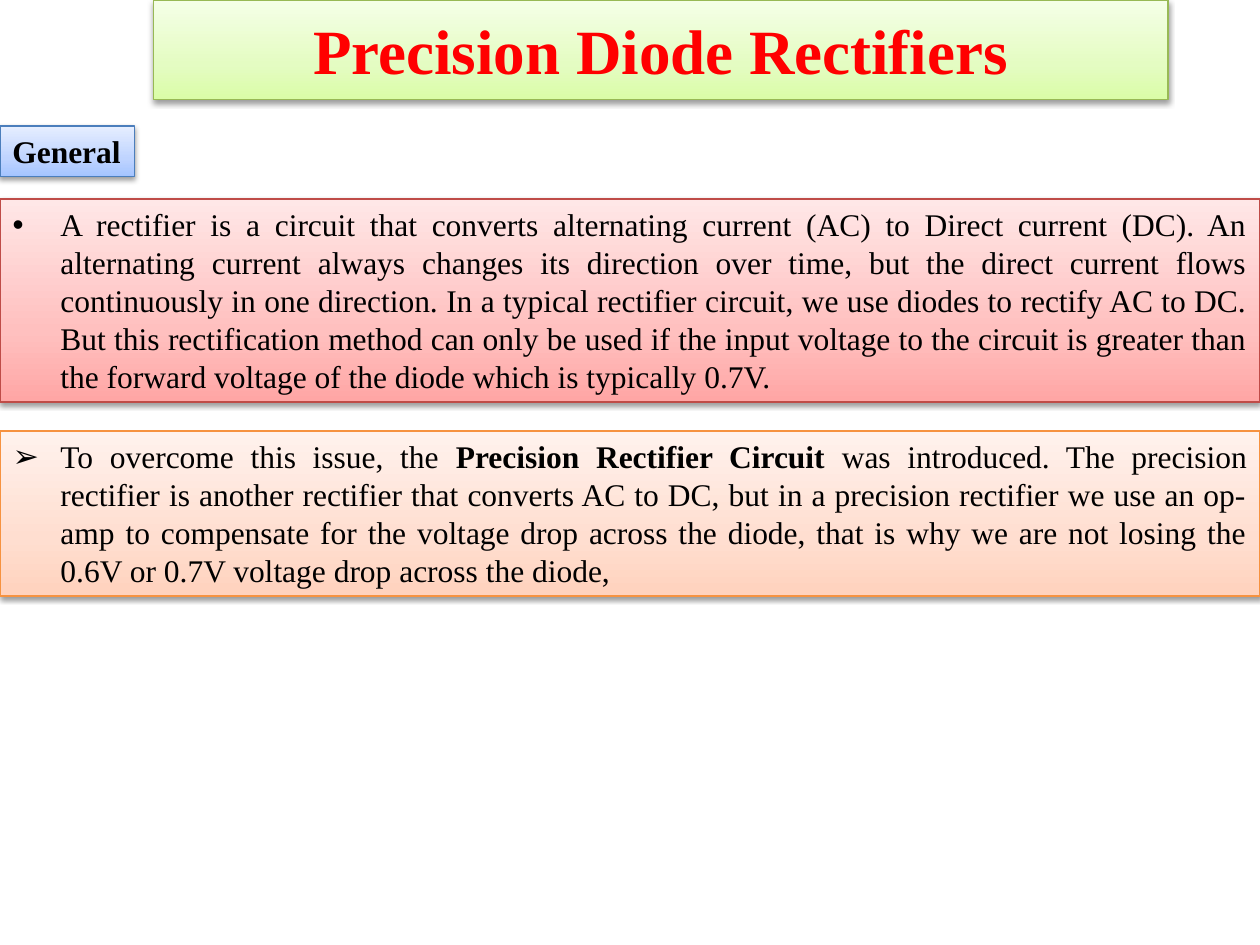
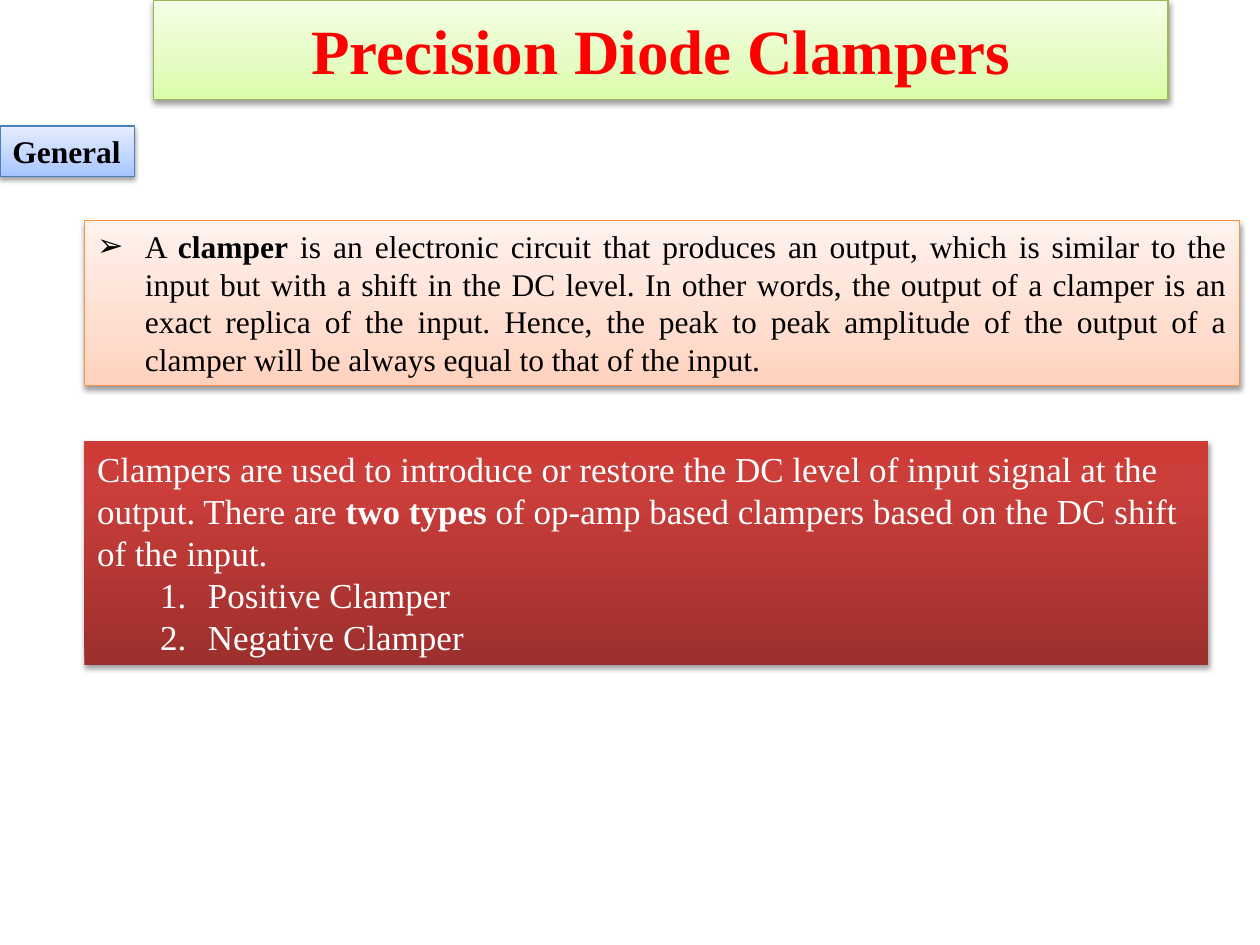
"""Build two slides on precision diode rectifiers and clampers."""
from lxml import etree
from pptx import Presentation
from pptx import util as u
from pptx.dml.color import RGBColor
from pptx.enum import shapes, text
from pptx.oxml import parse_xml
from pptx.oxml.ns import nsdecls, qn

FONT = "Times New Roman"
CELL = 1 / 12
INK = {"title": "FF0000", "dark": "000000", "light": "FFFFFF"}
STYLES = {
    "green": {"stops": [(0, "DAFDA7"), (35, "E4FCC2"), (100, "F5FFE7")], "line": "98B955"},
    "blue": {"stops": [(0, "A4C4FF"), (35, "BFD4FF"), (100, "E6EEFF")], "line": "4B7EBC"},
    "pink": {"stops": [(0, "FFA6A5"), (35, "FFC0BF"), (100, "FFE7E7")], "line": "BF4C48"},
    "orange": {"stops": [(0, "FFD2BD"), (35, "FFDED0"), (100, "FFF2ED")], "line": "F69240"},
    "red": {"stops": [(0, "9C2F2D"), (80, "CB3E3A"), (100, "CE3B37")], "line": None},
}
TITLE_CELLS = (14.64, 0, 96.6, 9.48)
LABEL_CELLS = (0, 12, 12.84)

SLIDES = [
    {"title": "Precision Diode Rectifiers", "label": "General", "panels": [
        {"style": "pink", "cells": (0, 19, 120), "lines": 5, "size": 18, "ink": "dark", "align": "JUSTIFY",
         "paragraphs": [("•", "A rectifier is a circuit that converts alternating current (AC) to Direct "
                         "current (DC). An alternating current always changes its direction over time, but "
                         "the direct current flows continuously in one direction. In a typical rectifier "
                         "circuit, we use diodes to rectify AC to DC. But this rectification method can only "
                         "be used if the input voltage to the circuit is greater than the forward voltage of "
                         "the diode which is typically 0.7V. ")]},
        {"style": "orange", "cells": (0, 41, 120), "lines": 4, "size": 18, "ink": "dark", "align": "JUSTIFY",
         "paragraphs": [("➢", "To overcome this issue, the **Precision Rectifier Circuit** was introduced. "
                         "The precision rectifier is another rectifier that converts AC to DC, but in a "
                         "precision rectifier we use an op-amp to compensate for the voltage drop across the "
                         "diode, that is why we are not losing the 0.6V or 0.7V voltage drop across the "
                         "diode,")]},
    ]},
    {"title": "Precision Diode Clampers", "label": "General", "panels": [
        {"style": "orange", "cells": (8, 21, 110), "lines": 4, "size": 18, "ink": "dark", "align": "JUSTIFY",
         "paragraphs": [("➢", "A **clamper** is an electronic circuit that produces an output, which is "
                         "similar to the input but with a shift in the DC level. In other words, the output "
                         "of a clamper is an exact replica of the input. Hence, the peak to peak amplitude "
                         "of the output of a clamper will be always equal to that of the input.")]},
        {"style": "red", "cells": (8, 42, 107), "lines": 5, "size": 20, "ink": "light", "align": "LEFT",
         "paragraphs": [("", "Clampers are used to introduce or restore the DC level of input signal at the "
                         "output. There are **two types** of op-amp based clampers based on the DC shift of "
                         "the input."),
                        ("1.", "Positive Clamper"),
                        ("1.", "Negative Clamper")]},
    ]},
]


def text_height(lines, size):
    """Return the height in cells of a box that holds the given lines."""
    return (lines * size * 1.21 / 72 + 0.1) / CELL


def place(box, cells):
    """Move a box to its left, top, width and height in grid cells."""
    box.left, box.top, box.width, box.height = [u.Inches(round(cell * CELL, 2)) for cell in cells]


def paint(box, style):
    """Give a box its gradient, outline and soft shadow."""
    box.fill.gradient()
    box.fill.gradient_angle = 90
    properties = box._element.spPr
    stop_list = properties.find(qn("a:gradFill")).find(qn("a:gsLst"))
    for stop in list(stop_list):
        stop_list.remove(stop)
    for position, color in style["stops"]:
        stop = etree.SubElement(stop_list, qn("a:gs"), pos=str(position * 1000))
        etree.SubElement(stop, qn("a:srgbClr"), val=color)
    if style["line"]:
        box.line.color.rgb = RGBColor.from_string(style["line"])
        box.line.width = u.Pt(0.75)
    else:
        box.line.fill.background()
    properties.append(parse_xml(
        f'<a:effectLst {nsdecls("a")}><a:outerShdw blurRad="{u.Pt(3.1)}" dist="{u.Pt(1.6)}" '
        'dir="5400000" rotWithShape="0"><a:srgbClr val="000000"><a:alpha val="38000"/>'
        '</a:srgbClr></a:outerShdw></a:effectLst>'))


def set_bullet(para, bullet):
    """Set the bullet or number of a paragraph and its hanging indent."""
    numbered = bullet == "1."
    para.level = int(numbered)
    settings = para._p.get_or_add_pPr()
    margin = 0.88 if numbered else 0.38 if bullet else 0
    settings.set("marL", str(u.Inches(margin)))
    settings.set("indent", str(u.Inches(-0.38 if bullet else 0)))
    if numbered:
        etree.SubElement(settings, qn("a:buFont"), typeface="+mj-lt")
        etree.SubElement(settings, qn("a:buAutoNum"), type="arabicPeriod")
    elif bullet:
        etree.SubElement(settings, qn("a:buFont"), typeface="Arial")
        etree.SubElement(settings, qn("a:buChar"), char=bullet)
    else:
        etree.SubElement(settings, qn("a:buNone"))


def write(box, paragraphs, size, ink="dark", align="LEFT", bold=False, anchor="TOP", wrap=True):
    """Fill a box with (bullet, text) paragraphs; ** encloses bold words."""
    frame = box.text_frame
    frame.word_wrap = wrap
    frame.vertical_anchor = text.MSO_ANCHOR[anchor]
    frame.auto_size = text.MSO_AUTO_SIZE.NONE
    for index, (bullet, words) in enumerate(paragraphs):
        para = frame.add_paragraph() if index else frame.paragraphs[0]
        para.alignment = text.PP_ALIGN[align]
        para.space_before = u.Pt(0)
        set_bullet(para, bullet)
        for part, piece in enumerate(words.split("**")):
            span = para.add_run()
            span.text = piece
            span.font.name = FONT
            span.font.size = u.Pt(size)
            span.font.bold = bold or part % 2 == 1
            span.font.color.rgb = RGBColor.from_string(INK[ink])


def build_slide(deck, content):
    """Add one slide with its title band, label and two text panels."""
    page = deck.slides.add_slide(deck.slide_layouts.get_by_name("Two Content"))
    title, *bodies = page.placeholders
    place(title, TITLE_CELLS)
    paint(title, STYLES["green"])
    write(title, [("", content["title"])], 36, ink="title", align="CENTER", bold=True, anchor="MIDDLE")

    label = page.shapes.add_shape(shapes.MSO_SHAPE.RECTANGLE, 0, 0, 0, 0)
    place(label, (*LABEL_CELLS, text_height(1, 18)))
    paint(label, STYLES["blue"])
    write(label, [("", content["label"])], 18, bold=True, wrap=False)

    for body, panel in zip(bodies, content["panels"]):
        place(body, (*panel["cells"], text_height(panel["lines"], panel["size"])))
        paint(body, STYLES[panel["style"]])
        write(body, panel["paragraphs"], panel["size"], ink=panel["ink"], align=panel["align"])


def main():
    """Build the deck and save it."""
    deck = Presentation()
    deck.slide_width, deck.slide_height = u.Inches(10), u.Inches(7.5)
    for content in SLIDES:
        build_slide(deck, content)
    deck.save("out.pptx")


if __name__ == "__main__":
    main()
